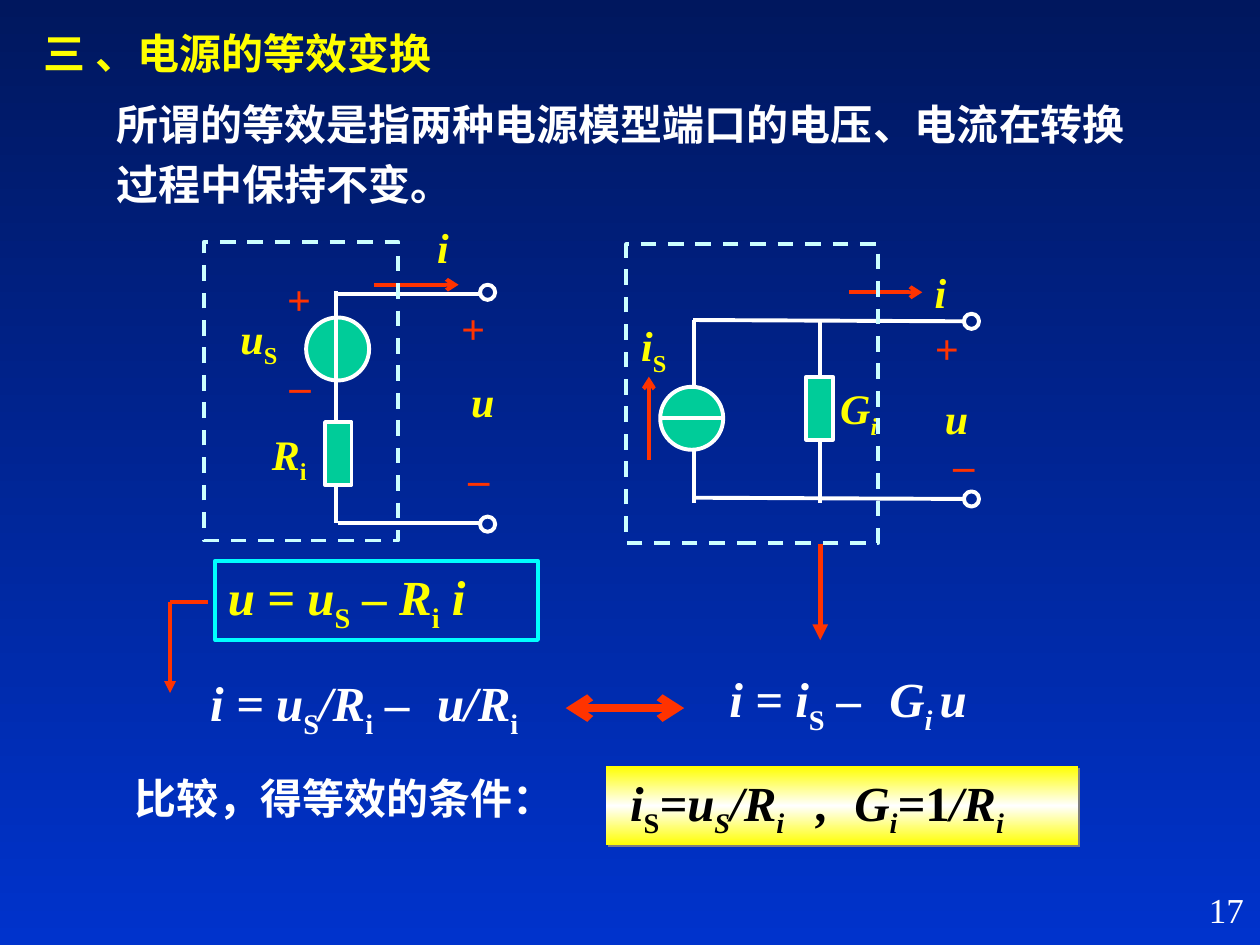
from copy import deepcopy
from lxml.etree import SubElement
from pptx import Presentation
from pptx.dml.color import RGBColor
from pptx.enum.dml import MSO_LINE
from pptx.enum.shapes import MSO_CONNECTOR, MSO_SHAPE as Shape
from pptx.enum.text import MSO_ANCHOR, PP_ALIGN as Align
from pptx.oxml.ns import qn
from pptx.util import Inches, Pt

WHITE, BLACK = RGBColor(255, 255, 255), RGBColor(0, 0, 0)
YELLOW, RED = RGBColor(255, 255, 0), RGBColor(0xFF, 0x33, 0)
GREEN, CYAN = RGBColor(0, 0xCC, 0x99), RGBColor(0, 255, 255)
PALE = RGBColor(0xCC, 255, 255)
NAVY, BLUE = RGBColor(0, 0x17, 0x5E), RGBColor(0, 0x33, 0xCC)
SERIF, CHINESE = "Times New Roman", "Noto Sans CJK SC"

# Run styles: (italic, subscript)
VAR, SUB, SUB_VAR, PLAIN = (True, False), (False, True), (True, True), (False, False)

# Sentences: place, text, font, colour, line spacing
SENTENCES = [
    ((0.25, 0.17, 4.32, 0.5), "三 、电源的等效变换", SERIF, YELLOW, 1),
    ((0.83, 0.65, 8.25, 1.06),
     "所谓的等效是指两种电源模型端口的电压、电流在转换过程中保持不变。", SERIF, WHITE, 1.2),
    ((0.97, 6.08, 4.17, 0.5), "比较，得等效的条件：", CHINESE, WHITE, 1),
]

# Equations: place, tab stops in inches, runs
SOURCE_EQUATION = [("u = u", VAR), ("S", SUB), (" – R", VAR), ("i", SUB), (" i", VAR)]
FREE_EQUATIONS = [
    ((5.69, 5.26, 2.39, 0.63), [1.27],
     [("i = i", VAR), ("S", SUB), (" –\tG", VAR), ("i ", SUB_VAR), ("u", VAR)]),
    ((1.57, 5.29, 3.08, 0.63), [1.8],
     [("i = u", VAR), ("S", SUB), ("/R", VAR), ("i", SUB), (" –\tu/R", VAR), ("i", SUB)]),
]
CONDITION = [("i", VAR), ("S", SUB), ("=u", VAR), ("S", SUB_VAR), ("/R", VAR),
             ("i", SUB_VAR), ("\t,\tG", VAR), ("i", SUB_VAR), ("=", VAR),
             ("1", PLAIN), ("/R", VAR), ("i", SUB_VAR)]

# Circuits: wires and arrows as x1, y1, x2, y2; labels as x, y, colour, runs
CIRCUITS = [
    dict(frame=(1.62, 1.92, 1.54, 2.37), source=(2.43, 2.52), resistor=(2.58, 3.35),
         wires=[(2.67, 2.31, 2.67, 4.15), (2.66, 2.33, 3.81, 2.33), (2.68, 4.15, 3.81, 4.15)],
         bar=(2.67, 2.52, 2.67, 3.02), arrows=[(2.97, 2.26, 3.64, 2.26)],
         terminals=[(3.81, 2.26), (3.81, 4.1)],
         labels=[(3.37, 1.71, YELLOW, [("i", VAR)]), (2.18, 2.12, RED, [("+", PLAIN)]),
                 (2.2, 2.69, RED, [("_", PLAIN)]), (1.81, 2.43, YELLOW, [("u", VAR), ("S", SUB)]),
                 (2.06, 3.35, YELLOW, [("R", VAR), ("i", SUB)]), (3.56, 2.35, RED, [("+", VAR)]),
                 (3.64, 2.93, YELLOW, [("u", VAR)]), (3.64, 3.43, RED, [("_", VAR)])]),
    dict(frame=(4.97, 1.94, 2, 2.37), source=(5.24, 3.07), resistor=(6.4, 2.99),
         wires=[(5.5, 2.54, 7.65, 2.55), (5.5, 3.95, 7.65, 3.96),
                (5.51, 2.54, 5.51, 3.99), (6.51, 2.54, 6.51, 3.99)],
         bar=(5.24, 3.32, 5.74, 3.32),
         arrows=[(6.74, 2.32, 7.32, 2.32), (5.15, 3.65, 5.15, 2.99)],
         terminals=[(7.65, 2.49), (7.65, 3.9)],
         labels=[(7.32, 2.07, YELLOW, [("i", VAR)]), (6.57, 2.99, YELLOW, [("G", VAR), ("i", SUB_VAR)]),
                 (7.32, 2.51, RED, [("+", VAR)]), (7.4, 3.07, YELLOW, [("u", VAR)]),
                 (7.49, 3.32, RED, [("_", VAR)]), (4.99, 2.49, YELLOW, [("i", VAR), ("S", SUB)])]),
]

# Arrows between equations: ends, width, head, tail
LINKS = [
    ((4.49, 5.62, 5.43, 5.62), 4.5, "arrow", "arrow"),
    ((1.35, 4.78, 1.35, 5.5), 2.25, None, "triangle"),
    ((1.35, 4.78, 1.65, 4.78), 2.25, None, None),
    ((6.51, 4.32, 6.51, 5.08), 3, None, "triangle"),
]

deck = Presentation()
deck.slide_width, deck.slide_height = Inches(10), Inches(7.5)
page = deck.slides.add_slide(deck.slide_layouts[6])


def inches(values):
    return [Inches(value) for value in values]


def paint_gradient(fill, owner, colours):
    """Fill from top to bottom with evenly spaced colours."""
    fill.gradient()
    fill.gradient_angle = 270
    stop_list = owner.xpath(".//a:gsLst")[0]
    while len(stop_list) < len(colours):
        stop_list.append(deepcopy(stop_list[0]))
    for index, (stop, colour) in enumerate(zip(fill.gradient_stops, colours)):
        stop.color.rgb = colour
        stop.position = index / (len(colours) - 1)


def add_line(ends, colour=WHITE, width=2.25, head=None, tail=None):
    line = page.shapes.add_connector(MSO_CONNECTOR.STRAIGHT, *inches(ends))
    line.line.color.rgb, line.line.width = colour, Pt(width)
    outline = line.line._get_or_add_ln()
    for tag, kind in (("a:headEnd", head), ("a:tailEnd", tail)):
        if kind:
            SubElement(outline, qn(tag), type=kind)
    SubElement(line._element.spPr, qn("a:effectLst"))


def add_part(kind, place, fill=None, line=None, dash=None):
    part = page.shapes.add_shape(kind, *inches(place))
    part.shadow.inherit = False
    if fill is None:
        part.fill.background()
    else:
        part.fill.solid()
        part.fill.fore_color.rgb = fill
    if line is None:
        part.line.fill.background()
    else:
        part.line.color.rgb, part.line.width = line, Pt(2.25)
        if dash:
            part.line.dash_style = dash
    return part


def write(box, runs, size, colour, font=SERIF, bold=True, align=Align.LEFT, spacing=1, tabs=()):
    frame = box.text_frame
    frame.word_wrap, frame.vertical_anchor = True, MSO_ANCHOR.TOP
    para = frame.paragraphs[0]
    para.alignment, para.line_spacing = align, spacing
    if tabs:
        tab_list = SubElement(para._p.get_or_add_pPr(), qn("a:tabLst"))
        for stop in tabs:
            SubElement(tab_list, qn("a:tab"), pos=str(Inches(stop)), algn="l")
    for text, (italic, subscript) in runs:
        span = para.add_run()
        span.text = text
        span.font.size, span.font.name = Pt(size), font
        span.font.bold, span.font.italic = bold, italic
        span.font.color.rgb = colour
        properties = span._r.get_or_add_rPr()
        SubElement(properties, qn("a:ea"), typeface=CHINESE)
        if subscript:
            properties.set("baseline", "-25000")


def add_text(place, *args, **options):
    box = page.shapes.add_textbox(*inches(place))
    write(box, *args, **options)


# Background
paint_gradient(page.background.fill, page._element, [NAVY, BLUE])

# Sentences
for place, text, font, colour, spacing in SENTENCES:
    add_text(place, [(text, PLAIN)], 24, colour, font=font, spacing=spacing)

# Equations
write(add_part(Shape.RECTANGLE, (1.71, 4.45, 2.56, 0.63), line=CYAN), SOURCE_EQUATION, 28, YELLOW)
for place, tabs, runs in FREE_EQUATIONS:
    add_text(place, runs, 28, WHITE, tabs=tabs)

# Equivalence condition on a shaded panel
panel = add_part(Shape.RECTANGLE, (4.81, 6.08, 3.75, 0.63))
paint_gradient(panel.fill, panel._element, [YELLOW, WHITE, YELLOW])
effects = panel._element.spPr.find(qn("a:effectLst"))
shadow = SubElement(effects, qn("a:outerShdw"), dist=str(Pt(1.4)), dir="2700000")
SubElement(shadow, qn("a:srgbClr"), val="808080")
panel.text_frame.margin_left = Inches(0.19)
write(panel, CONDITION, 28, BLACK, tabs=[1.48, 1.78])

# Circuits
for circuit in CIRCUITS:
    for wire in circuit["wires"]:
        add_line(wire)
    add_part(Shape.OVAL, (*circuit["source"], 0.5, 0.5), GREEN, WHITE)
    add_line(circuit["bar"])
    add_part(Shape.RECTANGLE, (*circuit["resistor"], 0.21, 0.5), GREEN, WHITE)
    for arrow in circuit["arrows"]:
        add_line(arrow, RED, tail="arrow")
    for terminal in circuit["terminals"]:
        add_part(Shape.OVAL, (*terminal, 0.12, 0.12), line=WHITE)
    for left, top, colour, runs in circuit["labels"]:
        add_text((left, top, 0.58, 0.5), runs, 24, colour)
    add_part(Shape.RECTANGLE, circuit["frame"], line=PALE, dash=MSO_LINE.DASH)

# Links between equations
for ends, width, head, tail in LINKS:
    add_line(ends, RED, width, head, tail)

# Page number
add_text((7.89, 7, 2.08, 0.5), [("17", PLAIN)], 20, WHITE, bold=False, align=Align.RIGHT)

deck.save("out.pptx")
